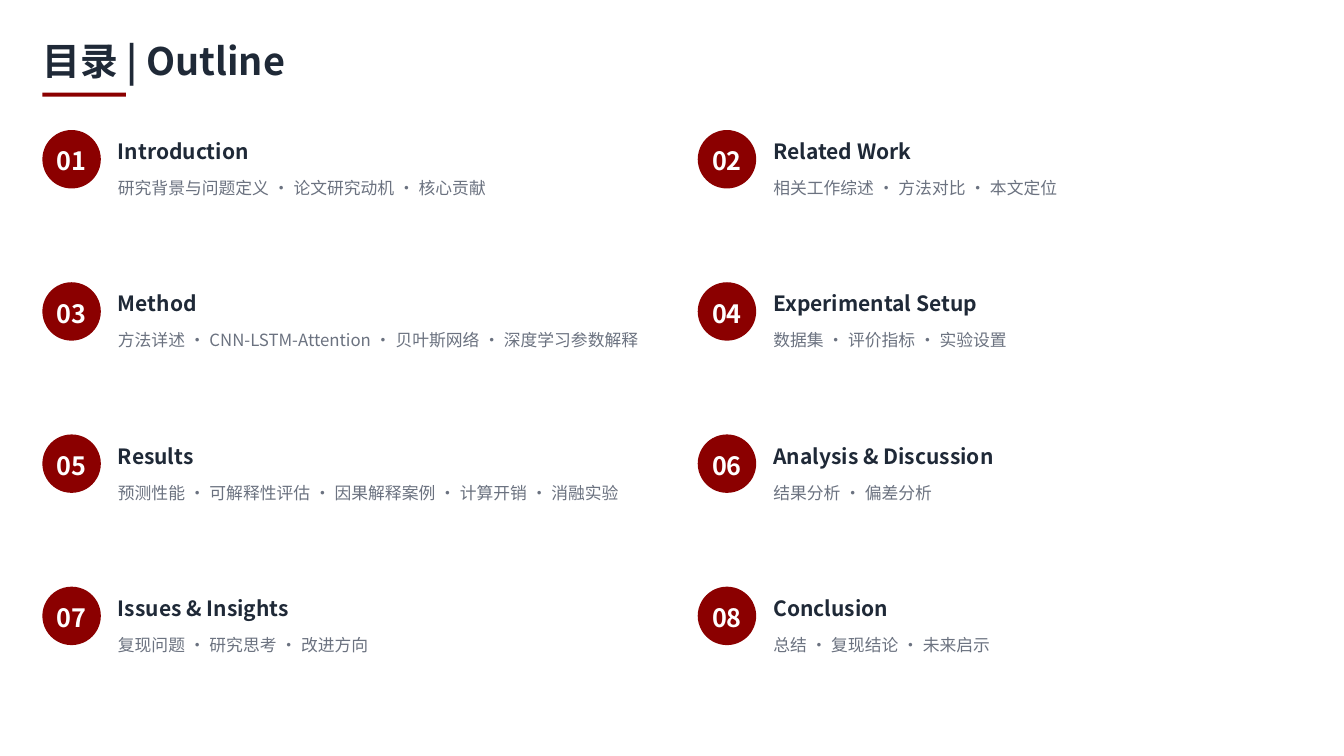
from pptx import Presentation
from pptx.dml.color import RGBColor as Rgb
from pptx.enum.shapes import MSO_SHAPE as Kind
from pptx.enum.text import MSO_ANCHOR as Anchor, MSO_AUTO_SIZE as Fit, PP_ALIGN as Align
from pptx.oxml import parse_xml
from pptx.oxml.ns import nsdecls
from pptx.util import Inches, Pt

COLORS = {"red": "8B0000", "ink": "1F2937", "gray": "6B7280", "white": "FFFFFF"}

ITEMS = [
    ("Introduction", "研究背景与问题定义 · 论文研究动机 · 核心贡献"),
    ("Related Work", "相关工作综述 · 方法对比 · 本文定位"),
    ("Method", "方法详述 · CNN-LSTM-Attention · 贝叶斯网络 · 深度学习参数解释"),
    ("Experimental Setup", "数据集 · 评价指标 · 实验设置"),
    ("Results", "预测性能 · 可解释性评估 · 因果解释案例 · 计算开销 · 消融实验"),
    ("Analysis & Discussion", "结果分析 · 偏差分析"),
    ("Issues & Insights", "复现问题 · 研究思考 · 改进方向"),
    ("Conclusion", "总结 · 复现结论 · 未来启示"),
]


class Page:
    font = "Noto Sans CJK SC"

    def __init__(self, deck):
        self.slide = deck.slides.add_slide(deck.slide_layouts[5])

    def label(self, shape, text, size, color, bold=False, lead=1.0, align=Align.LEFT):
        """Fill a shape with one styled paragraph, without margins."""
        frame = shape.text_frame
        frame.margin_left = frame.margin_right = 0
        frame.margin_top = frame.margin_bottom = 0
        frame.word_wrap = True
        frame.auto_size = Fit.NONE
        frame.vertical_anchor = Anchor.MIDDLE
        para = frame.paragraphs[0]
        run = para.add_run()
        run.text = text
        para.alignment = align
        para.line_spacing = lead
        para.font.size = Pt(size)
        para.font.bold = bold
        para.font.name = self.font
        para.font.color.rgb = Rgb.from_string(COLORS[color])
        # East Asian glyphs take their font from a:ea on the run
        run.font.name = self.font
        run.font._element.append(
            parse_xml(f'<a:ea {nsdecls("a")} typeface="{self.font}"/>'))

    def title(self, text, x, y, w, h):
        shape = self.slide.shapes.title
        shape.left, shape.top = Inches(x), Inches(y)
        shape.width, shape.height = Inches(w), Inches(h)
        self.label(shape, text, 27, "ink", bold=True, lead=0.9)

    def shape(self, kind, x, y, w, h, color):
        shape = self.slide.shapes.add_shape(
            kind, Inches(x), Inches(y), Inches(w), Inches(h))
        shape.shadow.inherit = False
        shape.fill.solid()
        shape.fill.fore_color.rgb = Rgb.from_string(COLORS[color])
        shape.line.fill.background()
        return shape

    def badge(self, text, x, y, size):
        disc = self.shape(Kind.OVAL, x, y, size, size, "red")
        self.label(disc, text, 18, "white", bold=True, lead=1.1, align=Align.CENTER)

    def text(self, text, x, y, w, h, size, color, **style):
        box = self.slide.shapes.add_textbox(
            Inches(x), Inches(y), Inches(w), Inches(h))
        self.label(box, text, size, color, **style)


def main():
    deck = Presentation()
    deck.slide_width, deck.slide_height = Inches(13.33), Inches(7.5)
    page = Page(deck)
    left, top = 0.42, 1.29
    page.title("目录 | Outline", left, 0.42, 12.69, 0.42)
    page.shape(Kind.RECTANGLE, left, 0.92, 0.83, 0.04, "red")
    for i, (head, detail) in enumerate(ITEMS):
        row, col = divmod(i, 2)
        x, y = left + col * 6.5, top + row * 1.51
        page.badge(f"{i + 1:02}", x, y, 0.58)
        page.text(head, x + 0.75, y + 0.04, 5.35, 0.29, 15, "ink", bold=True, lead=1.2)
        page.text(detail, x + 0.75, y + 0.42, 5.4, 0.25, 12, "gray", lead=1.3)
    deck.save("out.pptx")


if __name__ == "__main__":
    main()
